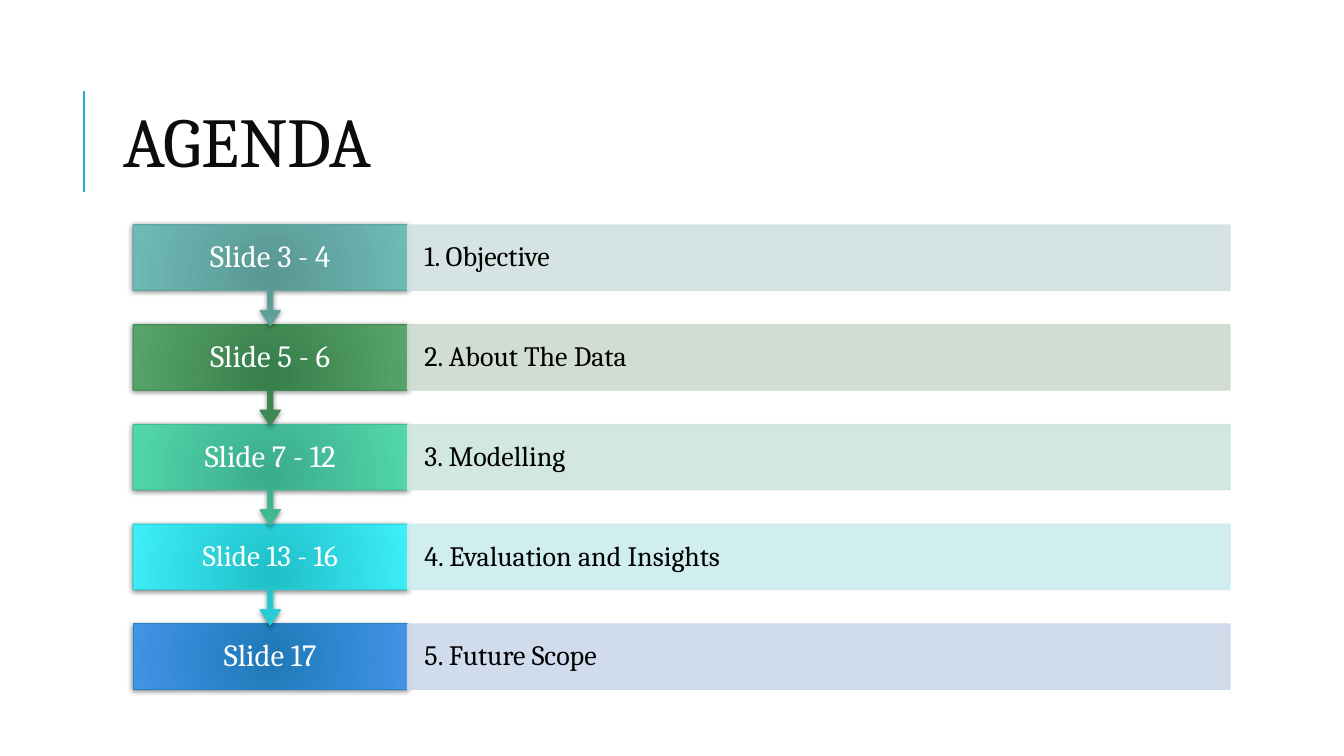
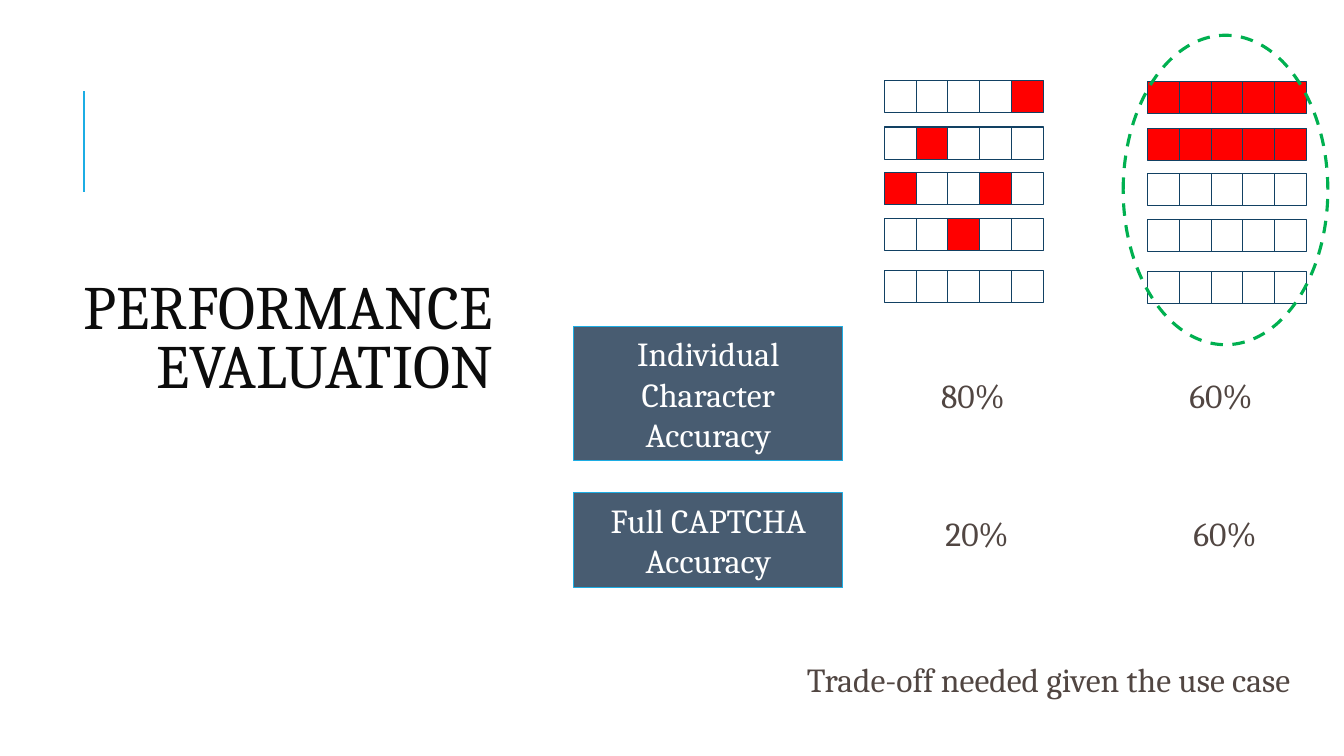
import pptx
import pptx.dml.color
import pptx.enum.dml
import pptx.enum.shapes
import pptx.enum.text
import pptx.oxml
import pptx.oxml.ns
import pptx.util
from lxml import etree

Inches, Pt = pptx.util.Inches, pptx.util.Pt
rgb = pptx.dml.color.RGBColor.from_string
qn = pptx.oxml.ns.qn
SHAPE = pptx.enum.shapes.MSO_SHAPE
ALIGN = pptx.enum.text.PP_ALIGN
ANCHOR = pptx.enum.text.MSO_ANCHOR
NS = pptx.oxml.ns.nsdecls("a")

FONT = "Cambria"
COLORS = {
    "title": "0C0C0C", "accent": "1CADE4", "white": "FFFFFF", "black": "000000",
    "label": "485C71", "body": "514642", "cell_line": "124163",
    "error": "FF0000", "highlight": "00B050",
}


def write(sp, text, size, color, align, anchor=ANCHOR.MIDDLE, spacing=None, side=0.1):
    """Set one formatted paragraph; side is the left and right inset in inches."""
    tf = sp.text_frame
    tf.word_wrap = True
    tf.auto_size = pptx.enum.text.MSO_AUTO_SIZE.NONE
    tf.vertical_anchor = anchor
    tf.margin_left = tf.margin_right = Inches(side)
    tf.margin_top = tf.margin_bottom = Inches(0.05)
    p = tf.paragraphs[0]
    p.alignment = align
    p.line_spacing = spacing
    r = p.add_run()
    r.text = text
    r.font.name, r.font.size = FONT, Pt(size)
    r.font.color.rgb = rgb(COLORS[color])


def add_box(s, kind, box, fill, line, width=0.75):
    """Add a flat preset shape; fill None leaves it hollow."""
    sp = s.shapes.add_shape(kind, *map(Inches, box))
    sp.shadow.inherit = False
    if fill:
        sp.fill.solid()
        sp.fill.fore_color.rgb = rgb(fill)
    else:
        sp.fill.background()
    sp.line.color.rgb = rgb(line)
    sp.line.width = Pt(width)
    return sp


prs = pptx.Presentation()
prs.slide_width, prs.slide_height = Inches(13.33), Inches(7.5)

# Shared frame: accent rule and title
titles = [
    ("AGENDA", (1.12, 0.64, 10.63, 1.64), 50, ALIGN.LEFT, ANCHOR.MIDDLE),
    ("PERFORMANCE EVALUATION", (0.7, 0.7, 4.29, 3.32), 44, ALIGN.RIGHT, ANCHOR.BOTTOM),
]
for text, box, size, align, anchor in titles:
    s = prs.slides.add_slide(prs.slide_layouts[5])
    rule = s.shapes.add_connector(pptx.enum.shapes.MSO_CONNECTOR.STRAIGHT,
                                  Inches(0.83), Inches(1.9), Inches(0.83), Inches(0.9))
    rule.line.color.rgb = rgb(COLORS["accent"])
    rule.line.width = Pt(1.5)
    etree.SubElement(rule._element.spPr, qn("a:effectLst"))
    title = s.shapes.title
    title.left, title.top, title.width, title.height = map(Inches, box)
    write(title, text, size, "title", align, anchor, 0.8)

agenda, evaluation = prs.slides

# Agenda: slides, topic, gradient centre, gradient edge, outline, bar
steps = [
    ("Slide 3 - 4", "1. Objective", "599793", "6FBBB7", "61A39F", "D1E0DF"),
    ("Slide 5 - 6", "2. About The Data", "367E4A", "59A56B", "3B8850", "CDD9CF"),
    ("Slide 7 - 12", "3. Modelling", "3BAC8C", "52D8AB", "42BA97", "CDE5DC"),
    ("Slide 13 - 16", "4. Evaluation and Insights", "1FBFC7", "3EEFFA", "24CED7", "CBEDEF"),
    ("Slide 17", "5. Future Scope", "1E79B7", "4294E7", "2383C6", "CBD8EA"),
]
ROW_H, ROW_STEP = 0.65, 0.99
last = len(steps) - 1
# Built from the bottom up, so that each arrow tip lies over the next box
for i, (pages, topic, centre, edge, outline, bar_color) in reversed(list(enumerate(steps))):
    top = 2.23 + i * ROW_STEP
    kind, height = (SHAPE.RECTANGLE, ROW_H) if i == last else (SHAPE.DOWN_ARROW_CALLOUT, 1)
    step = add_box(agenda, kind, (1.32, top, 2.72, height), centre, outline)
    if i != last:
        for n, value in enumerate((0.05, 0.1, 0.15, ROW_H)):
            step.adjustments[n] = value
    step.fill.gradient()
    for stop, color in zip(step.fill.gradient_stops, (centre, edge)):
        stop.color.rgb = rgb(color)
    spPr = step._element.spPr
    grad = spPr.find(qn("a:gradFill"))
    grad.replace(grad.find(qn("a:lin")), pptx.oxml.parse_xml(
        f'<a:path {NS} path="circle">'
        '<a:fillToRect l="50000" t="50000" r="50000" b="50000"/></a:path>'))
    spPr.find(qn("a:effectLst")).append(pptx.oxml.parse_xml(
        f'<a:outerShdw {NS} blurRad="{Pt(4)}" dist="{Pt(1)}" dir="5400000" rotWithShape="0">'
        '<a:srgbClr val="000000"><a:alpha val="50000"/></a:srgbClr></a:outerShdw>'))
    write(step, pages, 21 if i == 3 else 22, "white", ALIGN.CENTER, spacing=0.9, side=0.19)

    bar = add_box(agenda, SHAPE.RECTANGLE, (4.04, top, 8.16, ROW_H), bar_color, bar_color)
    for clr in bar._element.spPr.iter(qn("a:srgbClr")):
        etree.SubElement(clr, qn("a:alpha")).set("val", "90000")
    write(bar, topic, 20, "black", ALIGN.LEFT, spacing=0.9, side=0.17)

# Evaluation: two grids of five CAPTCHAs, "x" marks a wrong character
grids = [
    (8.77, 0.8, ["....x", ".x...", "x..x.", "..x..", "....."]),
    (11.38, 0.81, ["xxxxx", "xxxxx", ".....", ".....", "....."]),
]
row_offsets = [0, 0.46, 0.91, 1.37, 1.88]
CELL_W, CELL_H = 1.58 / 5, 0.32
for left, top, rows in grids:
    for offset, row in zip(row_offsets, rows):
        for col, mark in enumerate(row):
            add_box(evaluation, SHAPE.RECTANGLE,
                    (left + col * CELL_W, top + offset, CELL_W, CELL_H),
                    COLORS["error"] if mark == "x" else None, COLORS["cell_line"])

ring = add_box(evaluation, SHAPE.OVAL, (11.14, 0.35, 2.03, 3.07), None,
               COLORS["highlight"], 2.25)
ring.line.dash_style = pptx.enum.dml.MSO_LINE.DASH

# Each measure: label, box top and height, values' top and left edges
measures = [
    ("Individual Character Accuracy", 3.24, 1.33, 3.67, [("80%", 8.85), ("60%", 11.31)]),
    ("Full CAPTCHA Accuracy", 4.89, 0.94, 5.04, [("20%", 8.89), ("60%", 11.35)]),
]
for name, top, height, value_top, values in measures:
    label = add_box(evaluation, SHAPE.RECTANGLE, (5.69, top, 2.67, height),
                    COLORS["label"], COLORS["accent"])
    write(label, name, 24, "white", ALIGN.CENTER)
    for value, left in values:
        tb = evaluation.shapes.add_textbox(*map(Inches, (left, value_top, 1.6, 0.53)))
        write(tb, value, 24, "body", ALIGN.CENTER, ANCHOR.TOP)

note = evaluation.shapes.add_textbox(*map(Inches, (7.85, 6.48, 5.1, 0.56)))
write(note, "Trade-off needed given the use case", 24, "body", ALIGN.CENTER,
      spacing=0.9, side=0.04)

prs.save("out.pptx")
